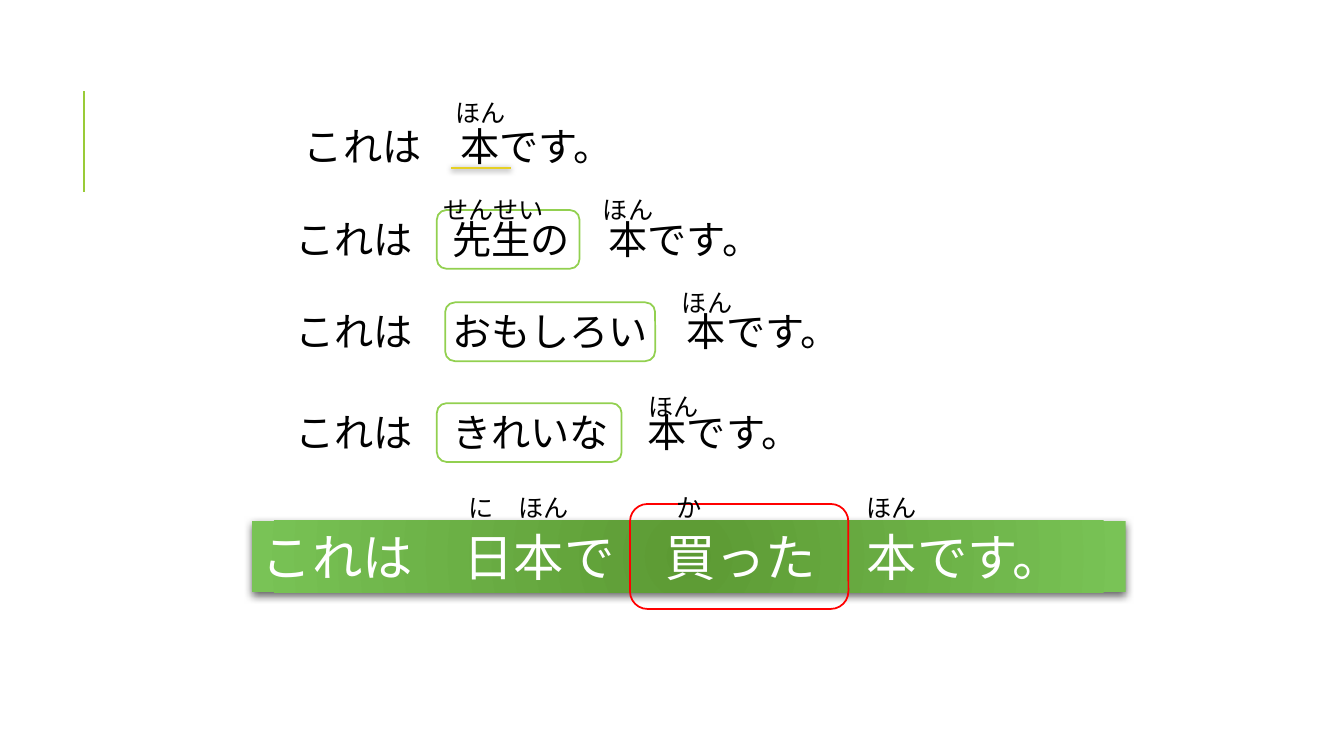
from lxml import etree
from pptx import Presentation
from pptx.dml.color import RGBColor
from pptx.enum.shapes import MSO_CONNECTOR, MSO_SHAPE
from pptx.enum.text import MSO_ANCHOR, MSO_AUTO_SIZE, PP_ALIGN
from pptx.oxml import parse_xml
from pptx.oxml.ns import qn
from pptx.util import Pt

STRAIGHT = MSO_CONNECTOR.STRAIGHT
RECTANGLE, ROUNDED = MSO_SHAPE.RECTANGLE, MSO_SHAPE.ROUNDED_RECTANGLE
TOP, LEFT = MSO_ANCHOR.TOP, PP_ALIGN.LEFT
GROW = MSO_AUTO_SIZE.SHAPE_TO_FIT_TEXT
DRAWING_NS = 'xmlns:a="http://schemas.openxmlformats.org/drawingml/2006/main"'


def color(hex_value):
    return RGBColor.from_string(hex_value)


def write(holder, text, size, font, hex_value):
    frame = holder.text_frame
    frame.word_wrap = True
    frame.auto_size = GROW
    frame.vertical_anchor = TOP
    paragraph = frame.paragraphs[0]
    paragraph.alignment = LEFT
    run = paragraph.add_run()
    run.text = text
    run.font.size = Pt(size)
    run.font.name = font
    run.font.color.rgb = color(hex_value)


prs = Presentation()
prs.slide_width, prs.slide_height = Pt(960), Pt(540)
slide = prs.slides.add_slide(prs.slide_layouts[6])
shapes = slide.shapes

# Accent line at the left margin
accent = shapes.add_connector(STRAIGHT, Pt(60), Pt(137), Pt(60), Pt(65))
accent.line.color.rgb = color("99CB38")
accent.line.width = Pt(1.5)
etree.SubElement(accent._element.spPr, qn("a:effectLst"))

# Example sentences
for left, top, width, sentence in [
    (210, 84, 312, "これは　本です。"),
    (204, 150, 366, "これは　先生の　本です。"),
    (204, 216, 438, "これは　おもしろい　本です。"),
    (204, 288, 438, "これは　きれいな　本です。"),
]:
    example = shapes.add_textbox(Pt(left), Pt(top), Pt(width), Pt(41))
    write(example, sentence, 28, "Lato", "000000")

# Green banner with the key sentence, darkest in the middle
banner = shapes.add_shape(RECTANGLE, Pt(180), Pt(372), Pt(624), Pt(51))
banner.shadow.inherit = False
banner.line.fill.background()
banner.fill.gradient()
for stop, position, shade in zip(banner.fill.gradient_stops, (0, 1), ("5C9A33", "79C356")):
    stop.position = position
    stop.color.rgb = color(shade)
gradient = banner._element.spPr.find(qn("a:gradFill"))
gradient.replace(gradient.find(qn("a:lin")), parse_xml(
    f'<a:path {DRAWING_NS} path="circle">'
    '<a:fillToRect l="100000" t="100000" r="100000" b="100000"/></a:path>'))
write(banner, "これは　日本で　買った　本です。", 36, "Lato", "FFFFFF")

# Underline below the noun
underline = shapes.add_connector(STRAIGHT, Pt(322.5), Pt(120), Pt(365), Pt(120))
underline.line.color.rgb = color("E6D024")
underline.line.width = Pt(1.5)
etree.SubElement(underline._element.spPr, qn("a:effectLst"))

# Soft shadows below the banner and the underline
for shaded, blur, distance, opacity in [(banner, 6, 2, 60), (underline, 4, 1, 50)]:
    shaded._element.spPr.find(qn("a:effectLst")).append(parse_xml(
        f'<a:outerShdw {DRAWING_NS} blurRad="{Pt(blur)}" dist="{Pt(distance)}" '
        'dir="5400000" rotWithShape="0"><a:srgbClr val="000000">'
        f'<a:alpha val="{opacity * 1000}"/></a:srgbClr></a:outerShdw>'))

# Frames around the modifiers
for left, top, width, height, outline in [
    (312, 150, 102, 42, "92D050"),
    (318, 216, 150, 42, "92D050"),
    (312, 288, 132, 42, "92D050"),
    (450, 360, 156, 75, "FF0000"),
]:
    modifier = shapes.add_shape(ROUNDED, Pt(left), Pt(top), Pt(width), Pt(height))
    modifier.shadow.inherit = False
    modifier.fill.background()
    modifier.line.color.rgb = color(outline)
    modifier.line.width = Pt(1.25)

# Readings above the kanji
for left, top, width, reading in [
    (318, 66, 60, "ほん"),
    (423.5, 135, 60, "ほん"),
    (480, 201.5, 60, "ほん"),
    (456, 276, 60, "ほん"),
    (612, 348, 60, "ほん"),
    (309.5, 135, 104.5, "せんせい"),
    (327.5, 348, 104.5, "に　ほん"),
    (476.5, 348, 39, "か"),
]:
    furigana = shapes.add_textbox(Pt(left), Pt(top), Pt(width), Pt(29))
    write(furigana, reading, 18, "Arial", "000000")

prs.save("out.pptx")
